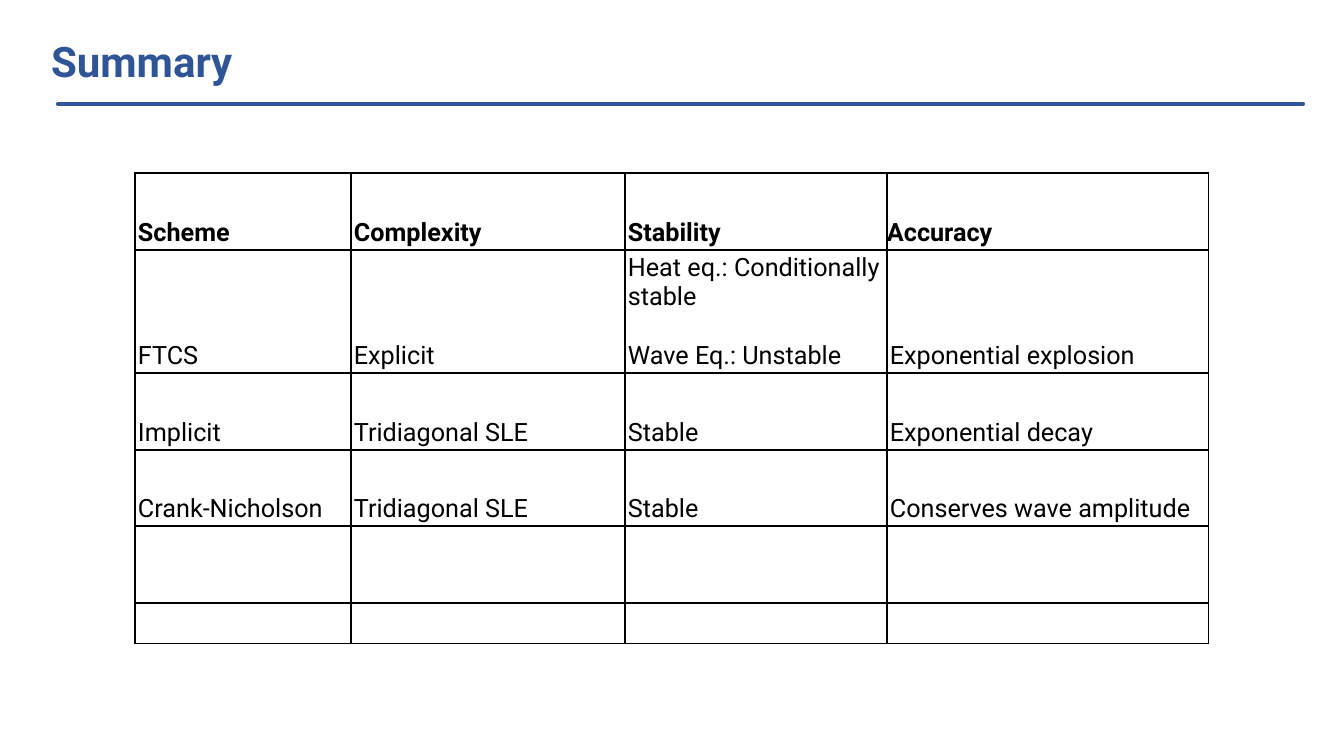
from lxml.etree import SubElement
from pptx import Presentation
from pptx.dml.color import RGBColor
from pptx.enum.shapes import MSO_CONNECTOR as Connector
from pptx.enum.text import MSO_ANCHOR as Anchor, PP_ALIGN as Align
from pptx.oxml.ns import qn
from pptx.util import Inches, Pt

TITLE = "Summary"
HEADER = ["Scheme", "Complexity", "Stability", "Accuracy"]
SCHEMES = [
    ["FTCS", "Explicit",
     ["Heat eq.: Conditionally stable", "Wave Eq.: Unstable"],
     "Exponential explosion"],
    ["Implicit", "Tridiagonal SLE", "Stable", "Exponential decay"],
    ["Crank-Nicholson", "Tridiagonal SLE", "Stable", "Conserves wave amplitude"],
]
EMPTY_ROWS = 2
COLUMN_WIDTHS = [216, 274, 262, 322]
ROW_HEIGHTS = [77, 123, 77, 76, 77, 40]
COLORS = {"blue": "2F5597", "black": "000000"}
FONT = "Roboto"
SCALE = Inches(1) / 100.8


def px(length):
    return round(length * SCALE)


def write(frame, text, size=18, color="black", bold=False, line_spacing=None, gap=0):
    lines = [text] if isinstance(text, str) else text
    frame.word_wrap = True
    for index, line in enumerate(lines):
        paragraph = frame.paragraphs[0] if index == 0 else frame.add_paragraph()
        paragraph.alignment = Align.LEFT
        if line_spacing:
            paragraph.line_spacing = line_spacing
        if index and gap:
            paragraph.space_before = Pt(gap)
        run = paragraph.add_run()
        run.text = line
        run.font.name = FONT
        run.font.size = Pt(size)
        run.font.bold = bold
        run.font.color.rgb = RGBColor.from_string(COLORS[color])


def add_borders(cell):
    properties = cell._tc.get_or_add_tcPr()
    for index, side in enumerate(("lnL", "lnR", "lnT", "lnB")):
        border = properties.makeelement(qn(f"a:{side}"), {"w": str(Pt(1))})
        fill = SubElement(border, qn("a:solidFill"))
        SubElement(fill, qn("a:srgbClr"), val=COLORS["black"])
        properties.insert(index, border)


def add_title(slide):
    title = slide.shapes.title
    title.left, title.top, title.width, title.height = map(px, (41, 0, 1262, 128))
    title.text_frame.vertical_anchor = Anchor.MIDDLE
    write(title.text_frame, TITLE, size=30, color="blue", bold=True, line_spacing=0.9)


def add_rule(slide):
    rule = slide.shapes.add_connector(
        Connector.STRAIGHT, px(58), px(104), px(1303), px(104))
    rule.line.width = Pt(3)
    rule.line.color.rgb = RGBColor.from_string(COLORS["blue"])
    rule.line._get_or_add_ln().set("cap", "rnd")
    SubElement(rule._element.spPr, qn("a:effectLst"))


def add_scheme_table(slide):
    rows = [HEADER] + SCHEMES + [[""] * len(HEADER)] * EMPTY_ROWS
    table = slide.shapes.add_table(
        len(rows), len(HEADER), px(135), px(173),
        px(sum(COLUMN_WIDTHS)), px(sum(ROW_HEIGHTS))).table
    table.first_row = False
    table.horz_banding = False
    for column, width in zip(table.columns, COLUMN_WIDTHS):
        column.width = px(width)
    for row, height in zip(table.rows, ROW_HEIGHTS):
        row.height = px(height)
    for row_index, texts in enumerate(rows):
        for column_index, text in enumerate(texts):
            cell = table.cell(row_index, column_index)
            cell.fill.background()
            add_borders(cell)
            if not text:
                continue
            cell.vertical_anchor = Anchor.BOTTOM
            cell.margin_left = cell.margin_right = px(0 if text == "Accuracy" else 3)
            cell.margin_top = cell.margin_bottom = px(2)
            write(cell.text_frame, text, bold=row_index == 0, gap=21)


def main():
    presentation = Presentation()
    presentation.slide_width = px(1344)
    presentation.slide_height = px(756)
    slide = presentation.slides.add_slide(presentation.slide_layouts[5])
    add_rule(slide)
    add_title(slide)
    add_scheme_table(slide)
    presentation.save("out.pptx")


if __name__ == "__main__":
    main()
